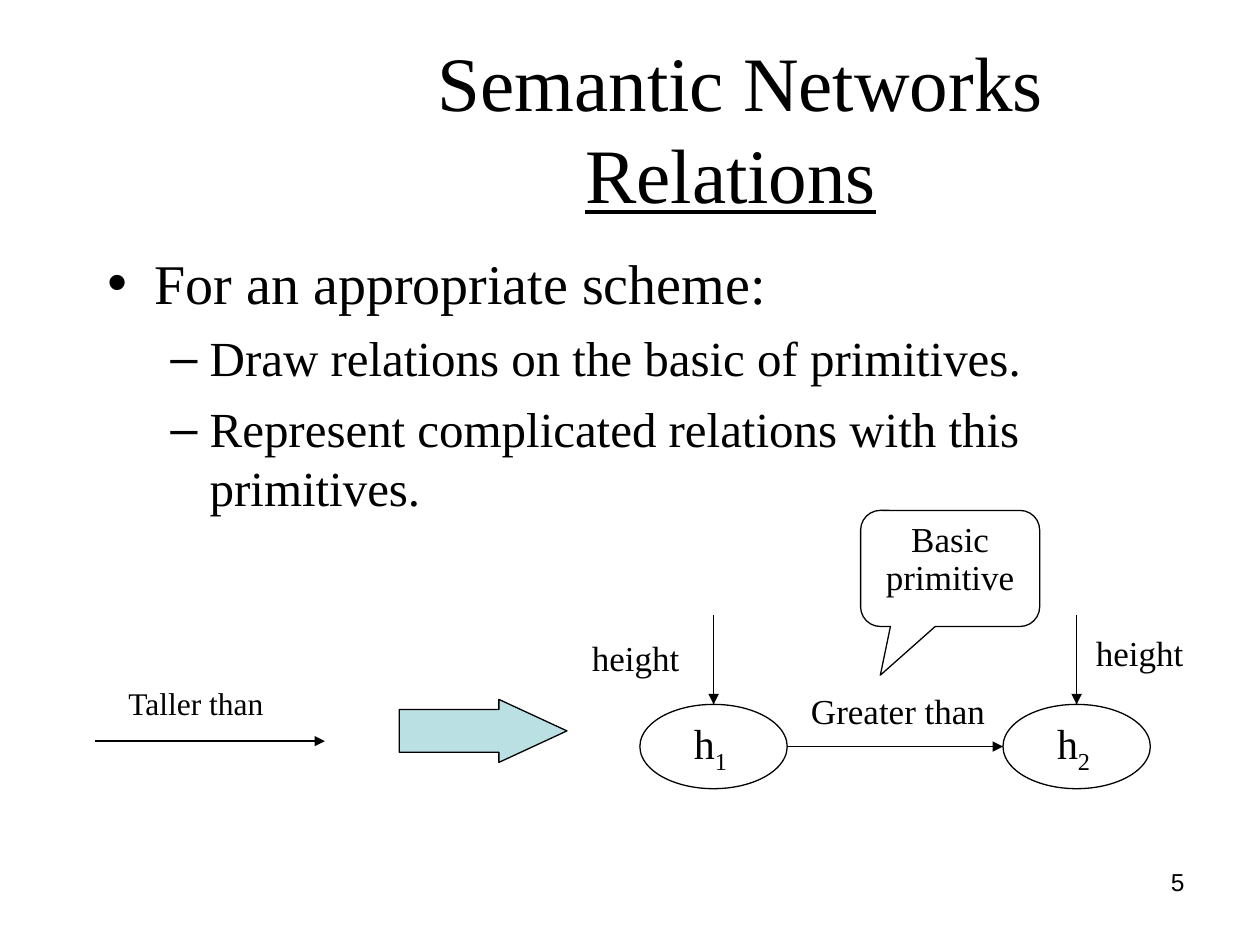
"""Build the slide on relations in semantic networks."""
from dataclasses import dataclass

from lxml.etree import SubElement
from pptx import Presentation
from pptx.dml.color import RGBColor
from pptx.enum.shapes import MSO_CONNECTOR as Connector, MSO_SHAPE as Shape
from pptx.enum.text import MSO_ANCHOR as Anchor, MSO_AUTO_SIZE as AutoSize, PP_ALIGN as Align
from pptx.oxml.ns import qn
from pptx.util import Cm, Pt


@dataclass(frozen=True)
class Theme:
    ink: RGBColor = RGBColor(0, 0, 0)
    accent: RGBColor = RGBColor(0xBB, 0xE0, 0xE3)
    serif: str = "Times New Roman"
    sans: str = "Arial"
    title: Pt = Pt(44)
    bullet: Pt = Pt(32)
    sub_bullet: Pt = Pt(28)
    node: Pt = Pt(24)
    label: Pt = Pt(20)
    relation: Pt = Pt(18)
    number: Pt = Pt(14)
    line: Pt = Pt(0.75)


theme = Theme()


def style(paragraph, size, align=None, face=theme.serif):
    paragraph.font.name = face
    paragraph.font.size = size
    paragraph.font.color.rgb = theme.ink
    paragraph.alignment = align


def outline(shape):
    shape.shadow.inherit = False
    shape.fill.background()
    shape.line.color.rgb = theme.ink
    shape.line.width = theme.line


deck = Presentation()
deck.slide_width, deck.slide_height = Cm(25.4), Cm(19.05)
slide = deck.slides.add_slide(deck.slide_layouts[1])
shapes = slide.shapes

title, body = slide.placeholders
title.left, title.top, title.width, title.height = Cm(5.72), Cm(0.97), Cm(18.42), Cm(3.18)
title.text_frame.auto_size = AutoSize.NONE
title.text_frame.vertical_anchor = Anchor.MIDDLE
heading = title.text_frame.paragraphs[0]
style(heading, theme.title, Align.CENTER)
heading.add_run().text = "Semantic Networks"
heading.add_line_break()
topic = heading.add_run()
topic.text = "Relations"
topic.font.underline = True
heading.add_run().text = " "

body.left, body.top, body.width, body.height = Cm(1.91), Cm(4.88), Cm(22.86), Cm(12.37)
points = [
    ("For an appropriate scheme:", 0, theme.bullet, 8),
    ("Draw relations on the basic of primitives.", 1, theme.sub_bullet, 7),
    ("Represent complicated relations with this primitives.", 1, theme.sub_bullet, 7),
]
body.text_frame.text = "\n".join(point[0] for point in points)
body.text_frame.auto_size = AutoSize.NONE
for paragraph, (_, level, size, gap) in zip(body.text_frame.paragraphs, points):
    paragraph.level = level
    paragraph.space_before = Pt(gap)
    style(paragraph, size)

labels = [
    ("5", 18.21, 17.35, 5.92, 1.32, theme.number, Align.RIGHT, theme.sans),
    ("Taller than", 2.34, 13.67, 3.43, 1.02, theme.relation, Align.LEFT, theme.serif),
    ("height", 10.59, 12.7, 4.45, 1.12, theme.label, Align.CENTER, theme.serif),
    ("Greater than", 15.88, 13.77, 4.45, 1.12, theme.label, Align.CENTER, theme.serif),
    ("height", 20.75, 12.6, 4.45, 1.12, theme.label, Align.CENTER, theme.serif),
]
for text, left, top, width, height, size, align, face in labels:
    label = shapes.add_textbox(Cm(left), Cm(top), Cm(width), Cm(height))
    label.text_frame.word_wrap = True
    label.text_frame.text = text
    style(label.text_frame.paragraphs[0], size, align, face)

implies = shapes.add_shape(Shape.RIGHT_ARROW, Cm(8.05), Cm(14.1), Cm(3.38), Cm(1.27))
outline(implies)
implies.fill.solid()
implies.fill.fore_color.rgb = theme.accent
implies.adjustments[0], implies.adjustments[1] = 0.68, 1.08

node_top, node_width, node_height = 14.2, 2.97, 1.7
node_middle = node_top + node_height / 2
node_lefts = [12.9, 20.22]
arrows = [
    (1.91, 14.94, 6.55, 14.94),
    (node_lefts[0] + node_width, node_middle, node_lefts[1], node_middle),
]
for index, left in enumerate(node_lefts, start=1):
    node = shapes.add_shape(
        Shape.OVAL, Cm(left), Cm(node_top), Cm(node_width), Cm(node_height))
    outline(node)
    node.text_frame.word_wrap = False
    node.text_frame.vertical_anchor = Anchor.MIDDLE
    symbol = node.text_frame.paragraphs[0]
    style(symbol, theme.node, Align.CENTER)
    symbol.add_run().text = "h"
    subscript = symbol.add_run()
    subscript.text = f"{index} "
    subscript._r.get_or_add_rPr().set("baseline", "-25000")
    center = left + node_width / 2
    arrows.append((center, 12.4, center, node_top))

for ends in arrows:
    arrow = shapes.add_connector(Connector.STRAIGHT, *(Cm(end) for end in ends))
    arrow.line.color.rgb = theme.ink
    arrow.line.width = theme.line
    SubElement(arrow.line._get_or_add_ln(), qn("a:tailEnd"), type="triangle")
    SubElement(arrow._element.spPr, qn("a:effectLst"))

callout = shapes.add_shape(
    Shape.ROUNDED_RECTANGULAR_CALLOUT, Cm(17.35), Cm(10.29), Cm(3.61), Cm(2.34))
outline(callout)
for position, value in enumerate((-0.39, 0.92, 0.17)):
    callout.adjustments[position] = value
callout.text_frame.word_wrap = True
callout.text_frame.vertical_anchor = Anchor.TOP
callout.text_frame.text = "Basic primitive"
remark = callout.text_frame.paragraphs[0]
style(remark, theme.label, Align.CENTER)
remark.line_spacing = 0.9

deck.save("out.pptx")
